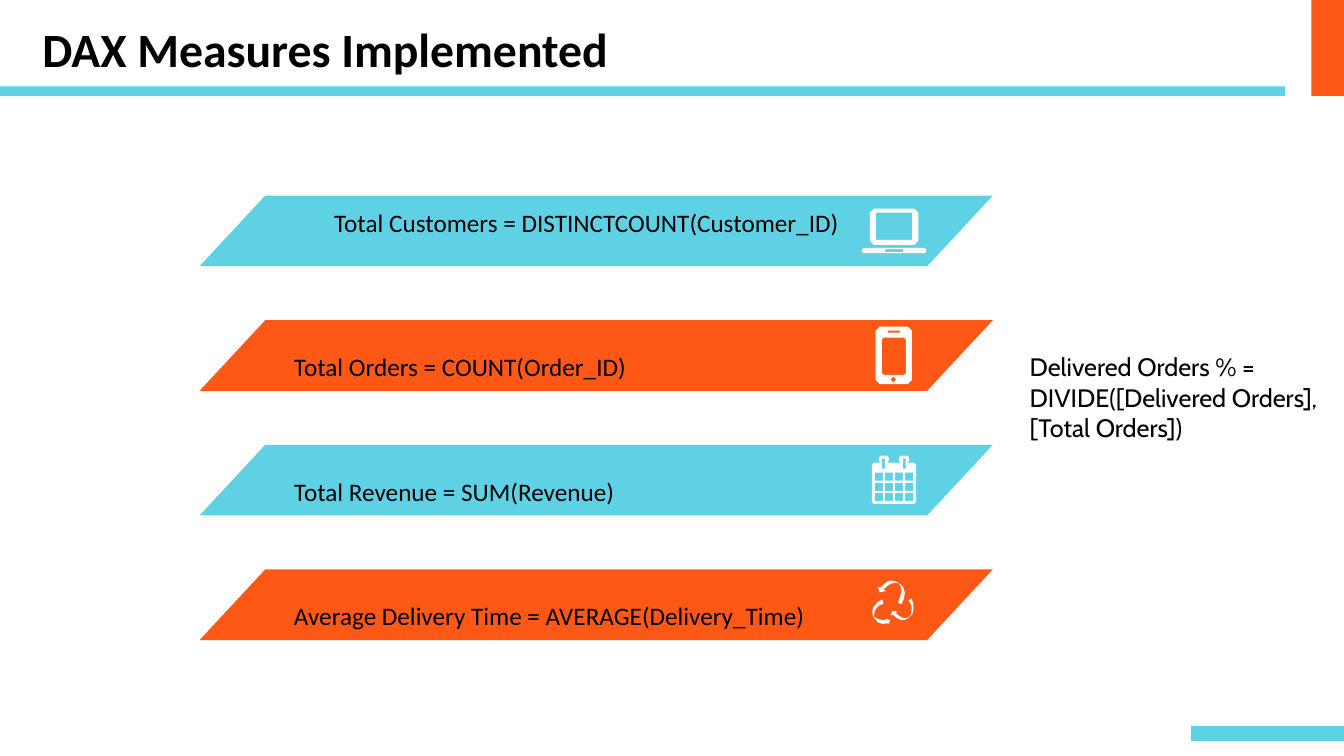
from math import cos, pi, sin

from pptx import Presentation
from pptx.dml.color import RGBColor
from pptx.enum.shapes import MSO_SHAPE
from pptx.enum.text import MSO_ANCHOR, MSO_AUTO_SIZE, PP_ALIGN
from pptx.util import Cm, Pt

CYAN = RGBColor(0x5E, 0xD1, 0xE5)
ORANGE = RGBColor(0xFE, 0x58, 0x17)
WHITE = RGBColor(0xFF, 0xFF, 0xFF)
BLACK = RGBColor(0x00, 0x00, 0x00)

BAR_LEFT, BAR_TOP, BAR_STEP = 5.03, 4.93, 3.14
BAR_WIDTH, BAR_HEIGHT = 19.99, 1.78
ICON_UNIT = Cm(1) / 39.37


def rounded_outline(left, top, right, bottom, radius=0):
    if not radius:
        return [(left, top), (right, top), (right, bottom), (left, bottom)]
    centres = [(right - radius, bottom - radius), (left + radius, bottom - radius),
               (left + radius, top + radius), (right - radius, top + radius)]
    return [(x + radius * cos((corner + step / 4) * pi / 2),
             y + radius * sin((corner + step / 4) * pi / 2))
            for corner, (x, y) in enumerate(centres) for step in range(5)]


LAPTOP = [rounded_outline(*part) for part in [
    (8, 0, 56, 36, 6), (14, 4, 50, 31), (0, 39, 64, 44, 2), (23, 40, 41, 43)]]
PHONE = [rounded_outline(*part) for part in [
    (0, 0, 36, 57, 6), (6, 11, 30, 48, 4), (12, 4, 24, 6), (15, 50, 20, 55, 2.5)]]
CALENDAR = [rounded_outline(*part) for part in [
    (0, 7, 44, 48, 3), (7, 0, 17, 7, 3), (27, 0, 37, 7, 3),
    (10, 3, 13, 13, 1), (31, 3, 34, 13, 1)]]
CALENDAR += [rounded_outline(3 + 10 * column, 17 + 10 * row, 11 + 10 * column, 25 + 10 * row)
             for row in range(3) for column in range(4)]
RECYCLE = [
    [(13, 27), (17, 27), (18, 33), (19, 38), (21, 40), (22, 42), (24, 43), (26, 44),
     (28, 43), (30, 42), (32, 40), (34, 37), (36, 31), (33, 31), (38, 27), (42, 31),
     (40, 31), (38, 36), (36, 41), (33, 43), (29, 44), (24, 44), (20, 43), (16, 39),
     (14, 34)],
    [(17, 12), (18, 17), (13, 19), (14, 17), (10, 16), (6, 16), (3, 17), (1, 19),
     (0, 22), (1, 25), (2, 28), (4, 31), (9, 34), (7, 37), (3, 33), (0, 28), (-1, 24),
     (0, 21), (1, 18), (3, 15), (5, 14), (7, 13), (11, 13), (16, 14)],
    [(25, 0), (30, 2), (33, 4), (35, 7), (36, 11), (35, 17), (32, 22), (29, 19),
     (32, 15), (33, 11), (33, 8), (31, 3), (27, 3), (23, 4), (19, 6), (20, 7),
     (15, 8), (15, 3), (16, 4), (20, 1)],
]


class MeasureSlide:
    def __init__(self, presentation):
        self.slide = presentation.slides.add_slide(presentation.slide_layouts[5])
        self.shapes = self.slide.shapes

    def paint(self, shape, colour):
        shape.shadow.inherit = False
        shape.fill.solid()
        shape.fill.fore_color.rgb = colour
        shape.line.fill.background()

    def block(self, left, top, width, height, colour, preset=MSO_SHAPE.RECTANGLE):
        block = self.shapes.add_shape(preset, Cm(left), Cm(top), Cm(width), Cm(height))
        self.paint(block, colour)
        return block

    def icon(self, left, top, outlines, rotation=0):
        builder = self.shapes.build_freeform(*outlines[0][0], scale=ICON_UNIT)
        for outline in outlines:
            builder.move_to(*outline[0])
            builder.add_line_segments(outline[1:], close=True)
        icon = builder.convert_to_shape(Cm(left), Cm(top))
        self.paint(icon, WHITE)
        icon.rotation = rotation

    def set_wording(self, frame, text, font, size, spacing=1.0, align=PP_ALIGN.LEFT, bold=False):
        frame.word_wrap = True
        frame.auto_size = MSO_AUTO_SIZE.NONE
        frame.vertical_anchor = MSO_ANCHOR.TOP
        frame.text = text
        paragraph = frame.paragraphs[0]
        paragraph.alignment = align
        paragraph.line_spacing = spacing
        style = paragraph.runs[0].font
        style.name, style.size, style.bold = font, Pt(size), bold
        style.color.rgb = BLACK

    def title(self, left, top, width, height, text):
        title = self.shapes.title
        title.left, title.top = Cm(left), Cm(top)
        title.width, title.height = Cm(width), Cm(height)
        frame = title.text_frame
        frame.margin_left = frame.margin_top = frame.margin_right = frame.margin_bottom = 0
        self.set_wording(frame, text, "Calibri", 34.1, bold=True)

    def label(self, left, top, width, height, text, font="Calibri", **style):
        box = self.shapes.add_textbox(Cm(left), Cm(top), Cm(width), Cm(height))
        self.set_wording(box.text_frame, text, font, 18, **style)

    def measure(self, row, formula, colour, text_area, align, icon):
        top = BAR_TOP + BAR_STEP * row
        bar = self.block(BAR_LEFT, top, BAR_WIDTH, BAR_HEIGHT, colour, MSO_SHAPE.PARALLELOGRAM)
        bar.adjustments[0] = 0.93
        icon_left, icon_offset, outlines, rotation = icon
        self.icon(icon_left, top + icon_offset, outlines, rotation)
        left, offset, width = text_area
        self.label(left, top + offset, width, 1.24, formula, spacing=1.3, align=align)


def main():
    presentation = Presentation()
    presentation.slide_width, presentation.slide_height = Cm(33.87), Cm(19.05)
    slide = MeasureSlide(presentation)

    centred, indented = (6.83, -0.05, 15.9), (7.16, 0.43, 15.82)
    measures = [
        ("Total Customers = DISTINCTCOUNT(Customer_ID)", CYAN, centred, PP_ALIGN.CENTER,
         (21.72, 0.33, LAPTOP, 0)),
        ("Total Orders = COUNT(Order_ID)", ORANGE, indented, PP_ALIGN.LEFT,
         (22.07, 0.16, PHONE, 0)),
        ("Total Revenue = SUM(Revenue)", CYAN, indented, PP_ALIGN.LEFT,
         (21.97, 0.27, CALENDAR, 0)),
        ("Average Delivery Time = AVERAGE(Delivery_Time)", ORANGE, indented, PP_ALIGN.LEFT,
         (21.97, 0.34, RECYCLE, 209.2)),
    ]
    for row, measure in enumerate(measures):
        slide.measure(row, *measure)

    slide.block(0, 2.18, 32.39, 0.24, CYAN)
    slide.title(1.07, 0.5, 17.91, 1.45, "DAX Measures Implemented")
    slide.block(33.05, 0, 0.82, 2.42, ORANGE)
    slide.block(30.02, 18.29, 3.85, 0.38, CYAN)
    slide.label(25.7, 8.74, 7.77, 2.9,
                "Delivered Orders % = DIVIDE([Delivered Orders], [Total Orders])", font="Cabin")

    presentation.save("out.pptx")


if __name__ == "__main__":
    main()
